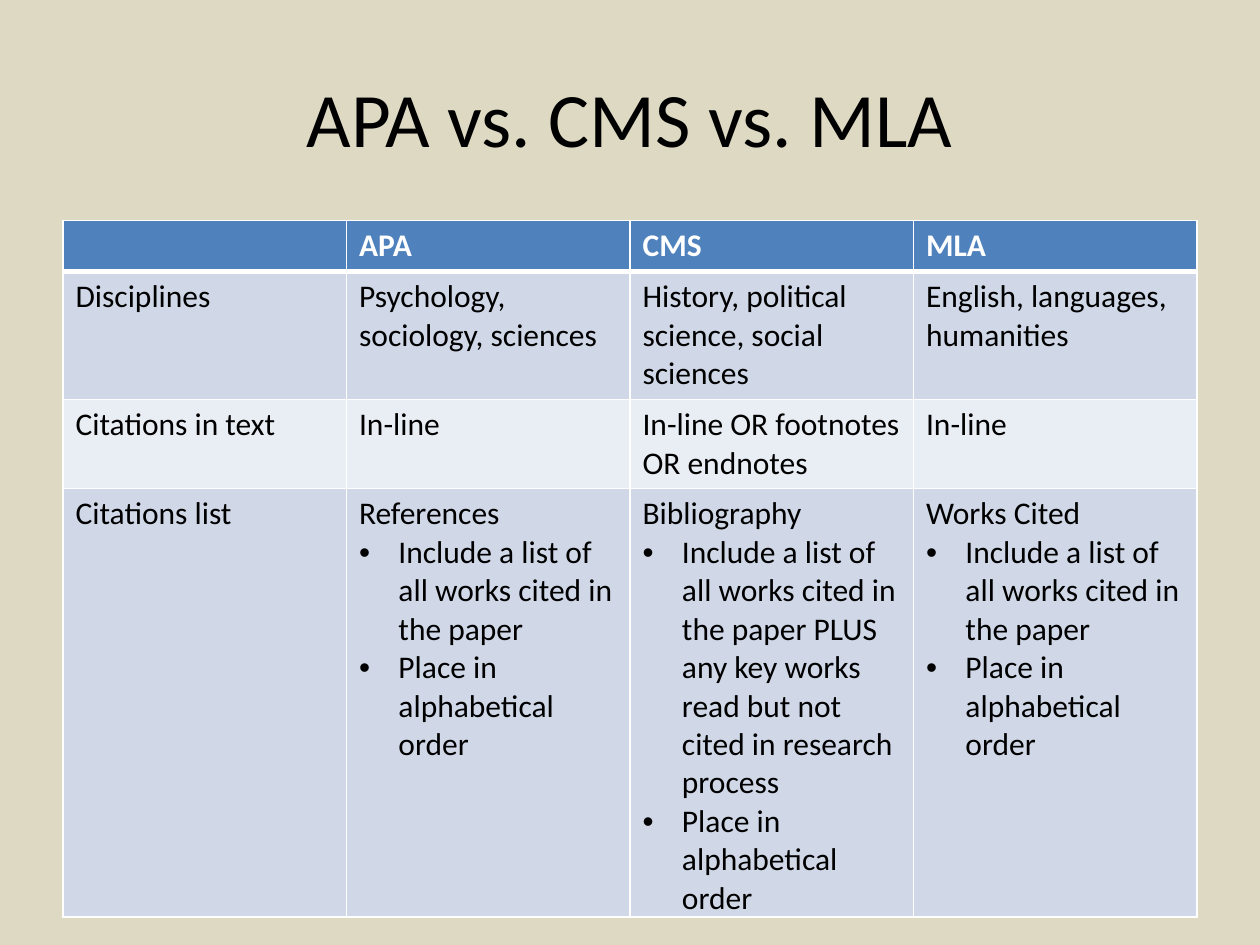
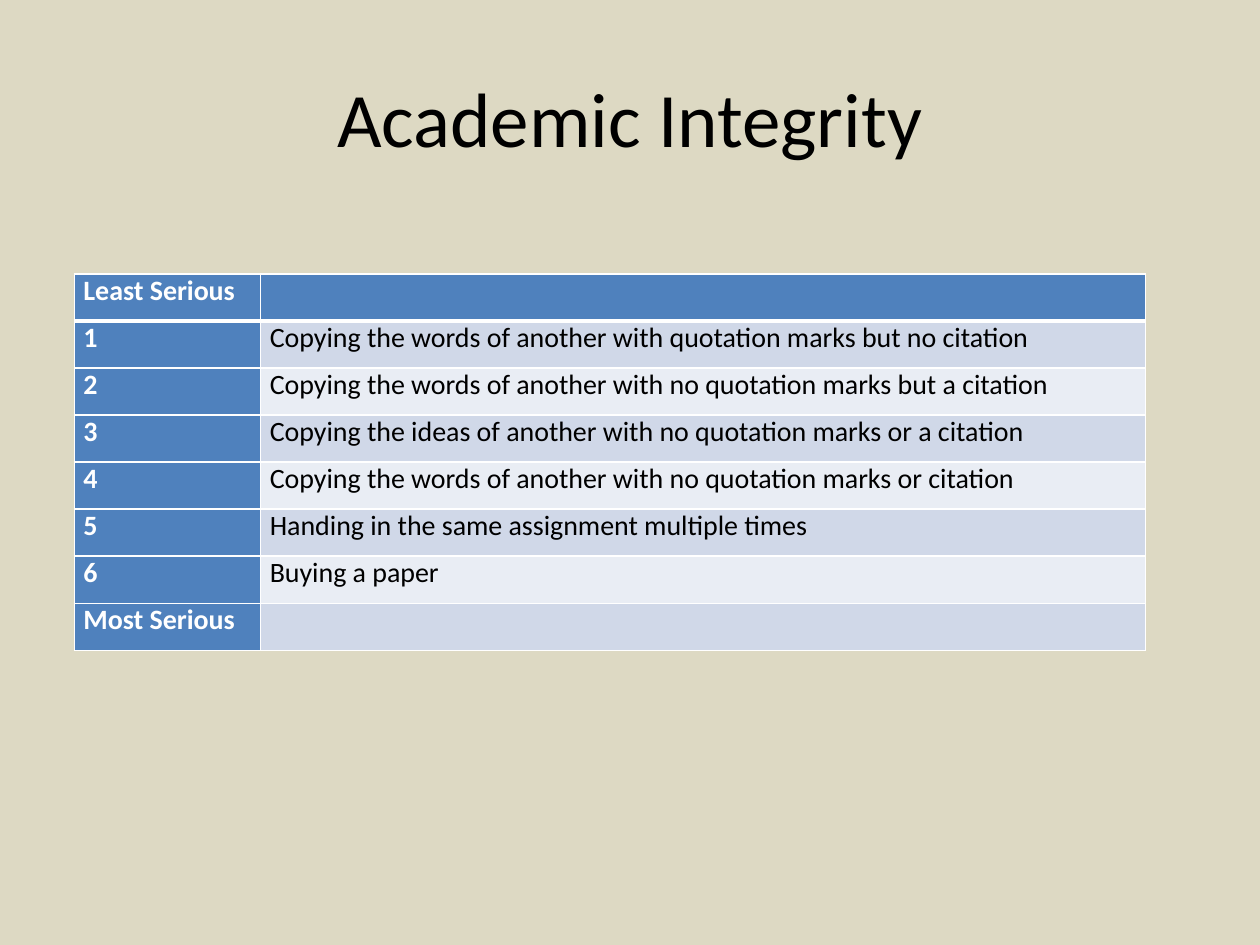
import pptx
import pptx.dml.color
import pptx.enum.text
import pptx.oxml
import pptx.oxml.ns
import pptx.util

Pt = pptx.util.Pt
RGB = pptx.dml.color.RGBColor.from_string

COLORS = {
    "background": "DDD9C3",
    "header": "4F81BD",
    "band_dark": "D0D8E8",
    "band_light": "E9EDF4",
    "text": "000000",
    "white": "FFFFFF",
}
FONT = "Calibri"
BULLET = "• "
BULLET_INDENT = 22.5


class Deck:
    def __init__(self):
        self.prs = pptx.Presentation()
        self.prs.slide_width, self.prs.slide_height = Pt(720), Pt(540)
        self.s = None

    def slide(self, title):
        self.s = self.prs.slides.add_slide(self.prs.slide_layouts[6])
        fill = self.s.background.fill
        fill.solid()
        fill.fore_color.rgb = RGB(COLORS["background"])
        self.title(title)

    def title(self, text):
        sp = self.s.shapes.add_textbox(Pt(36), Pt(21.6), Pt(648), Pt(90))
        tf = sp.text_frame
        tf.word_wrap = True
        tf.vertical_anchor = pptx.enum.text.MSO_ANCHOR.MIDDLE
        tf.text = text
        p = tf.paragraphs[0]
        p.alignment = pptx.enum.text.PP_ALIGN.CENTER
        self.style(p, 44, "text")

    def style(self, p, size, color, bold=False):
        for r in p.runs:
            r.font.name, r.font.size, r.font.bold = FONT, Pt(size), bold
            r.font.color.rgb = RGB(COLORS[color])

    def table(self, left, top, widths, heights, rows, size, margins, first_col=False):
        """Draw a banded table; first_col gives the first column the header look."""
        frame = self.s.shapes.add_table(
            len(rows), len(widths), Pt(left), Pt(top), Pt(sum(widths)), Pt(sum(heights)))
        table = frame.table
        table.first_col = first_col
        for column, width in zip(table.columns, widths):
            column.width = Pt(width)
        for i, texts in enumerate(rows):
            table.rows[i].height = Pt(heights[i])
            for j, text in enumerate(texts):
                header = i == 0 or (first_col and j == 0)
                band = "band_dark" if i % 2 else "band_light"
                cell = table.cell(i, j)
                self.borders(cell, top=3 if i == 1 else 1, bottom=3 if i == 0 else 1)
                cell.fill.solid()
                cell.fill.fore_color.rgb = RGB(COLORS["header" if header else band])
                cell.margin_left = cell.margin_right = Pt(margins[0])
                cell.margin_top = cell.margin_bottom = Pt(margins[1])
                self.cell_text(cell, text, size, header)

    def cell_text(self, cell, text, size, header):
        """Write one paragraph a line; lines that start with BULLET become bullets."""
        tf = cell.text_frame
        for n, line in enumerate(text.split("\n")):
            p = tf.add_paragraph() if n else tf.paragraphs[0]
            if line.startswith(BULLET):
                self.bullet(p)
            if line:
                p.text = line.removeprefix(BULLET)
            self.style(p, size, "white" if header else "text", header)

    def bullet(self, p):
        pPr = p._p.get_or_add_pPr()
        pPr.set("marL", str(Pt(BULLET_INDENT)))
        pPr.set("indent", str(-Pt(BULLET_INDENT)))
        ns = pptx.oxml.ns.nsdecls("a")
        pPr.append(pptx.oxml.parse_xml(f'<a:buFont {ns} typeface="Arial"/>'))
        pPr.append(pptx.oxml.parse_xml(f'<a:buChar {ns} char="{BULLET.strip()}"/>'))

    def borders(self, cell, top, bottom):
        """Add white borders; call before the fill, which must follow them."""
        tcPr = cell._tc.get_or_add_tcPr()
        for side, width in (("L", 1), ("R", 1), ("T", top), ("B", bottom)):
            tcPr.append(pptx.oxml.parse_xml(
                f'<a:ln{side} {pptx.oxml.ns.nsdecls("a")} w="{Pt(width)}"><a:solidFill>'
                f'<a:srgbClr val="{COLORS["white"]}"/></a:solidFill></a:ln{side}>'))


STYLE_ROWS = [
    ["", "APA", "CMS", "MLA"],
    ["Disciplines", "Psychology, sociology, sciences",
     "History, political science, social sciences", "English, languages, humanities"],
    ["Citations in text", "In-line", "In-line OR footnotes OR endnotes", "In-line"],
]
LIST_NAMES = ["References", "Bibliography", "Works Cited"]
CITED = "Include a list of all works cited in the paper"
EXTRA = {"Bibliography": " PLUS any key works read but not cited in research process"}
ORDER = "Place in alphabetical order"
STYLE_ROWS.append(["Citations list"] + [
    f"{name}\n{BULLET}{CITED}{EXTRA.get(name, '')}\n{BULLET}{ORDER}" for name in LIST_NAMES])

OFFENCES = [
    "Copying the words of another with quotation marks but no citation",
    "Copying the words of another with no quotation marks but a citation",
    "Copying the ideas of another with no quotation marks or a citation",
    "Copying the words of another with no quotation marks or citation",
    "Handing in the same assignment multiple times",
    "Buying a paper",
]


def main():
    deck = Deck()
    deck.slide("APA vs. CMS vs. MLA")
    deck.table(36, 126, [162] * 4, [29.2, 73, 51, 243.5], STYLE_ROWS,
               size=18, margins=(7.2, 3.6))

    deck.slide("Academic Integrity")
    rows = [["Least Serious", ""]]
    rows += [[str(n), text] for n, text in enumerate(OFFENCES, 1)]
    rows.append(["Most Serious", ""])
    deck.table(42.5, 156.6, [106.5, 505.5], [26.9] * len(rows), rows,
               size=16, margins=(5.2, 0), first_col=True)
    deck.prs.save("out.pptx")


if __name__ == "__main__":
    main()
